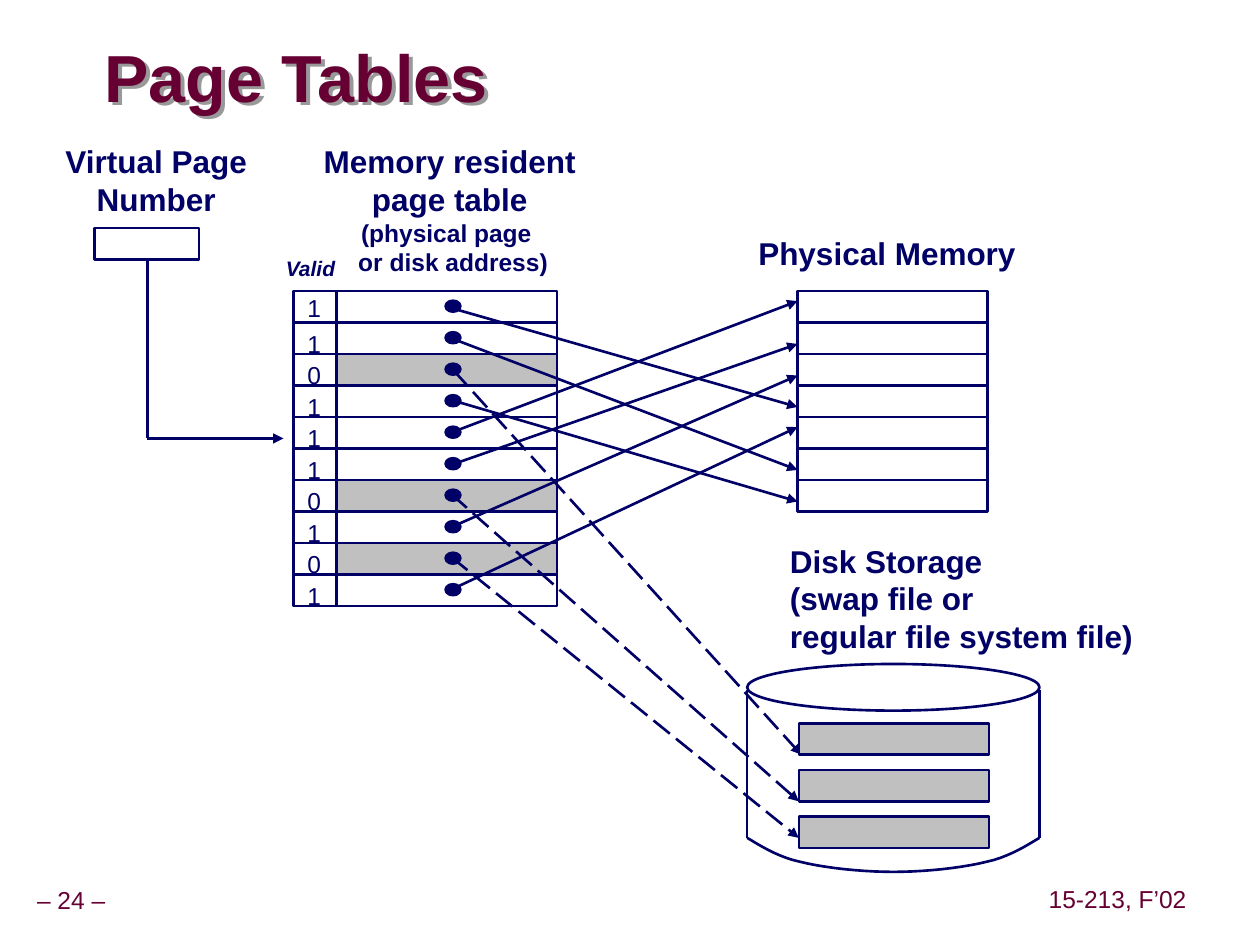
from dataclasses import dataclass

from lxml.etree import SubElement
from pptx import Presentation
from pptx.dml.color import RGBColor
from pptx.enum.dml import MSO_LINE
from pptx.enum.shapes import MSO_CONNECTOR, MSO_SHAPE
from pptx.enum.text import MSO_ANCHOR, PP_ALIGN
from pptx.oxml.ns import qn
from pptx.util import Inches, Pt

COLORS = {"navy": "000066", "maroon": "660033", "gray": "C0C0C0",
          "white": "FFFFFF", "shadow": "999999"}
FONT = "Arial"
ROW_HEIGHT = 0.25
TABLE_TOP = 2.31
VALID_LEFT, VALID_WIDTH = 2.33, 0.34
ENTRY_LEFT, ENTRY_WIDTH = 2.67, 1.75
MEMORY_LEFT, FRAME_WIDTH, MEMORY_FRAMES = 6.33, 1.51, 7
DISK_LEFT, DISK_RIGHT, DISK_TOP = 5.93, 8.25, 5.27
DISK_SIDE_TOP, DISK_SIDE_BOTTOM = 5.48, 6.65


@dataclass
class Entry:
    """A page table row: its valid bit and the arrow to its page."""
    valid: int
    start: tuple[float, float]
    end: tuple[float, float]


@dataclass
class Line:
    """A line of text."""
    text: str
    size: float = 18
    bold: bool = True
    italic: bool = False
    color: str = "navy"


@dataclass
class Label:
    """A text box: its place, its lines and their layout."""
    box: tuple[float, float, float, float]
    lines: list[Line]
    align: PP_ALIGN = PP_ALIGN.LEFT
    side_inset: float = 0.1
    anchor: MSO_ANCHOR = MSO_ANCHOR.TOP
    spacing: float = 1.0


ENTRIES = [
    Entry(1, (3.60, 2.45), (6.33, 3.23)),
    Entry(1, (3.57, 2.68), (6.33, 3.73)),
    Entry(0, (3.60, 2.94), (6.36, 5.99)),
    Entry(1, (3.60, 3.18), (6.33, 3.98)),
    Entry(1, (3.59, 3.43), (6.33, 2.39)),
    Entry(1, (3.58, 3.69), (6.33, 2.73)),
    Entry(0, (3.58, 3.92), (6.34, 6.36)),
    Entry(1, (3.59, 4.18), (6.33, 2.98)),
    Entry(0, (3.58, 4.42), (6.34, 6.65)),
    Entry(1, (3.58, 4.68), (6.33, 3.39)),
]

LABELS = [
    Label((0.42, 1.08, 1.64, 0.7), [Line("Virtual Page"), Line("Number")], PP_ALIGN.CENTER),
    Label((2.47, 1.08, 2.2, 1.17),
          [Line("Memory resident"), Line("page table"),
           Line("(physical page ", 14), Line(" or disk address)", 14)], PP_ALIGN.CENTER),
    Label((2.17, 1.98, 0.67, 0.3), [Line("Valid", 12, italic=True)]),
    Label((5.92, 1.81, 2.24, 0.4), [Line("Physical Memory")]),
    Label((6.17, 4.25, 2.92, 1),
          [Line("Disk Storage"), Line("(swap file or"), Line("regular file system file)")]),
]

FOOTERS = [
    Label((left, top, width, 0.31), [Line(text, 14, False, color="maroon")],
          PP_ALIGN.CENTER, 0.05, MSO_ANCHOR.MIDDLE, 0.9)
    for left, top, width, text in [(-0.09, 7, 1.31, "– 24 –"),
                                   (8.27, 6.99, 1.2, "15-213, F’02")]
]


def rgb(name: str) -> RGBColor:
    return RGBColor.from_string(COLORS[name])


def add_run(paragraph, line: Line) -> None:
    run = paragraph.add_run()
    run.text = line.text
    font = run.font
    font.name, font.size = FONT, Pt(line.size)
    font.bold, font.italic = line.bold, line.italic
    font.color.rgb = rgb(line.color)


def add_label(slide, label: Label) -> None:
    frame = slide.shapes.add_textbox(*map(Inches, label.box)).text_frame
    frame.margin_left = frame.margin_right = Inches(label.side_inset)
    frame.margin_top = frame.margin_bottom = Inches(0.05)
    frame.vertical_anchor = label.anchor
    frame.word_wrap = False
    for index, line in enumerate(label.lines):
        paragraph = frame.add_paragraph() if index else frame.paragraphs[0]
        paragraph.alignment = label.align
        paragraph.line_spacing = label.spacing
        add_run(paragraph, line)


def style(shape, fill: str | None, width: float = 1.5) -> None:
    shape.shadow.inherit = False
    if fill:
        shape.fill.solid()
        shape.fill.fore_color.rgb = rgb(fill)
    else:
        shape.fill.background()
    shape.line.color.rgb = rgb("navy")
    shape.line.width = Pt(width)


def add_shape(slide, kind: MSO_SHAPE, box: tuple[float, float, float, float],
              fill: str | None = None, width: float = 1.5) -> None:
    style(slide.shapes.add_shape(kind, *map(Inches, box)), fill, width)


def add_line(slide, start: tuple[float, float], end: tuple[float, float],
             arrow: bool = False, dashed: bool = False) -> None:
    connector = slide.shapes.add_connector(
        MSO_CONNECTOR.STRAIGHT, *map(Inches, (*start, *end)))
    connector.line.color.rgb = rgb("navy")
    connector.line.width = Pt(1.5)
    if dashed:
        connector.line.dash_style = MSO_LINE.LONG_DASH
    if arrow:
        outline = connector._element.spPr.find(qn("a:ln"))
        SubElement(outline, qn("a:tailEnd"), type="triangle")
    SubElement(connector._element.spPr, qn("a:effectLst"))


def add_title(slide) -> None:
    title = slide.shapes.title
    title.left, title.top, title.width, title.height = map(Inches, (0.83, 0.33, 5.69, 0.63))
    frame = title.text_frame
    frame.margin_left = frame.margin_right = frame.margin_top = frame.margin_bottom = 0
    frame.vertical_anchor = MSO_ANCHOR.MIDDLE
    paragraph = frame.paragraphs[0]
    paragraph.alignment = PP_ALIGN.LEFT
    paragraph.line_spacing = 0.87
    add_run(paragraph, Line("Page Tables", 38, color="maroon"))
    # An unfilled shape casts the shadow of its text
    title.fill.background()
    effects = SubElement(title._element.spPr, qn("a:effectLst"))
    shadow = SubElement(effects, qn("a:outerShdw"), dist=str(Pt(3)), dir="2700000")
    SubElement(shadow, qn("a:srgbClr"), val=COLORS["shadow"])


def add_disk(slide) -> None:
    add_shape(slide, MSO_SHAPE.OVAL, (DISK_LEFT, DISK_TOP, DISK_RIGHT - DISK_LEFT, 0.37))
    for side in (DISK_LEFT, DISK_RIGHT):
        add_line(slide, (side, DISK_SIDE_TOP), (side, DISK_SIDE_BOTTOM))
    # Curved bottom: Bezier control points of the left half, then mirrored
    curves = [[(5.93, 6.65), (6, 6.69), (6.16, 6.8), (6.35, 6.84)],
              [(6.35, 6.84), (6.55, 6.89), (6.85, 6.92), (7.09, 6.92)]]
    left_half = []
    for curve in curves:
        for step in range(11):
            t = step / 10
            weights = ((1 - t) ** 3, 3 * t * (1 - t) ** 2, 3 * t * t * (1 - t), t ** 3)
            left_half.append(tuple(
                sum(w * point[axis] for w, point in zip(weights, curve)) for axis in (0, 1)))
    right_half = [(DISK_LEFT + DISK_RIGHT - x, y) for x, y in reversed(left_half)]
    points = [(Inches(x), Inches(y)) for x, y in left_half + right_half]
    bottom = slide.shapes.build_freeform(*points[0])
    bottom.add_line_segments(points[1:], close=False)
    style(bottom.convert_to_shape(), None)


def main() -> None:
    presentation = Presentation()
    presentation.slide_width, presentation.slide_height = Inches(10), Inches(7.5)
    slide = presentation.slides.add_slide(presentation.slide_layouts[5])
    add_title(slide)

    # Page table with valid bits
    for row, entry in enumerate(ENTRIES):
        top = TABLE_TOP + row * ROW_HEIGHT
        add_shape(slide, MSO_SHAPE.RECTANGLE, (ENTRY_LEFT, top, ENTRY_WIDTH, ROW_HEIGHT),
                  "white" if entry.valid else "gray")
        add_shape(slide, MSO_SHAPE.OVAL, (3.54, top + 0.08, 0.11, 0.08), "navy", 2)
        add_shape(slide, MSO_SHAPE.RECTANGLE, (VALID_LEFT, top, VALID_WIDTH, ROW_HEIGHT))
        bit_top = top if row else top - 0.03
        add_label(slide, Label((2.34, bit_top, 0.31, 0.34),
                               [Line(str(entry.valid), 14, False)]))

    # Physical memory
    for frame in range(MEMORY_FRAMES):
        add_shape(slide, MSO_SHAPE.RECTANGLE,
                  (MEMORY_LEFT, TABLE_TOP + frame * ROW_HEIGHT, FRAME_WIDTH, ROW_HEIGHT), "white")

    # Arrows from entries to pages, dashed to disk
    for entry in ENTRIES:
        add_line(slide, entry.start, entry.end, arrow=True, dashed=not entry.valid)

    # Disk and its pages
    add_disk(slide)
    for page in range(3):
        add_shape(slide, MSO_SHAPE.RECTANGLE,
                  (6.34, 5.74 + page * 0.37, FRAME_WIDTH, ROW_HEIGHT), "gray")

    # Virtual page number and its index arrow
    add_shape(slide, MSO_SHAPE.RECTANGLE, (0.75, 1.81, 0.83, ROW_HEIGHT), "white")
    add_line(slide, (1.17, 2.06), (1.17, 3.48))
    add_line(slide, (1.17, 3.48), (2.25, 3.48), arrow=True)

    # Labels and footers
    for label in LABELS + FOOTERS:
        add_label(slide, label)
    presentation.save("out.pptx")


if __name__ == "__main__":
    main()
